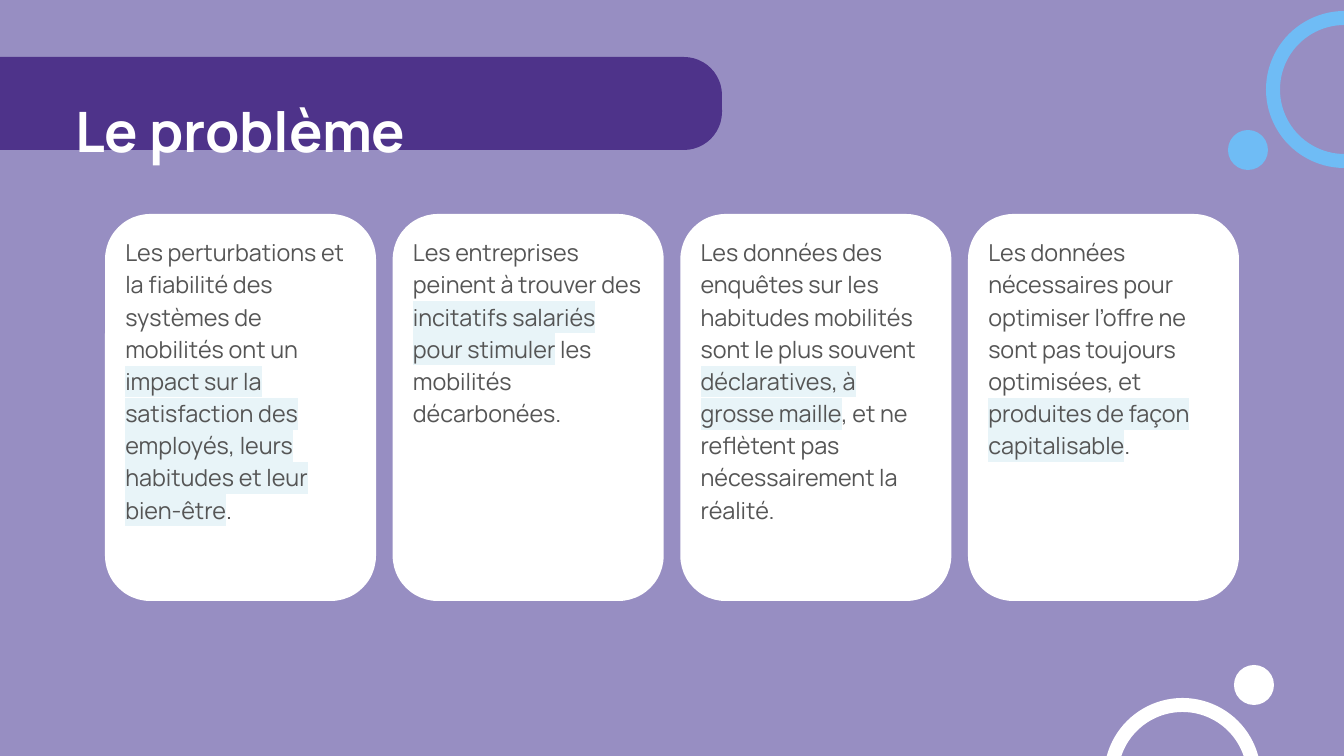
from dataclasses import dataclass

from lxml import etree
from pptx import Presentation
from pptx.dml.color import RGBColor
from pptx.enum.shapes import MSO_SHAPE
from pptx.enum.text import MSO_ANCHOR, MSO_AUTO_SIZE, PP_ALIGN
from pptx.oxml.ns import qn
from pptx.util import Pt

OVAL, ROUNDED = MSO_SHAPE.OVAL, MSO_SHAPE.ROUNDED_RECTANGLE
TOP, LEFT = MSO_ANCHOR.TOP, PP_ALIGN.LEFT
GROW = MSO_AUTO_SIZE.SHAPE_TO_FIT_TEXT
PX = 914400 / 67.2


@dataclass(frozen=True)
class Theme:
    font: str = "Manrope"
    background: str = "978EC2"
    banner: str = "4E338A"
    white: str = "FFFFFF"
    blue: str = "6FBCF5"
    text: str = "555555"
    highlight: str = "E8F4F8"
    title_size: float = 59.7
    body_size: float = 25
    ring_width: float = 15


THEME = Theme()

TITLE = "Le problème"
CARDS = [
    ("Les perturbations et la fiabilité des systèmes de mobilités ont un ",
     "impact sur la satisfaction des employés, leurs habitudes et leur bien-être",
     "."),
    ("Les entreprises peinent à trouver des ",
     "incitatifs salariés pour stimuler",
     " les mobilités décarbonées."),
    ("Les données des enquêtes sur les habitudes mobilités sont le plus souvent ",
     "déclaratives, à grosse maille",
     ", et ne reflètent pas nécessairement la réalité."),
    ("Les données nécessaires pour optimiser l’offre ne sont pas toujours optimisées, et ",
     "produites de façon capitalisable",
     "."),
]
ORNAMENTS = [
    {"ring": (1111, 705), "dot": (1234, 665), "color": THEME.white},
    {"ring": (1273, 18), "dot": (1228, 130), "color": THEME.blue},
]
RING_SIZE, DOT_SIZE = 143, 40
CARDS_LEFT, CARDS_RIGHT, CARDS_TOP = 105, 1239, 214
CARD_W, CARD_H = 271, 387


def px(n):
    return round(n * PX)


def rgb(color):
    return RGBColor.from_string(color)


def add_shape(slide, kind, box, fill=None, line=None):
    sp = slide.shapes.add_shape(kind, *map(px, box))
    sp.shadow.inherit = False
    if fill:
        sp.fill.solid()
        sp.fill.fore_color.rgb = rgb(fill)
    else:
        sp.fill.background()
    if line:
        sp.line.color.rgb = rgb(line)
        sp.line.width = Pt(THEME.ring_width)
    else:
        sp.line.fill.background()
    return sp


def style(p, size, color, spacing, bold=False):
    p.alignment = LEFT
    p.line_spacing = spacing
    p.font.name = THEME.font
    p.font.size = Pt(size)
    p.font.bold = bold
    p.font.color.rgb = rgb(color)


def highlight(r):
    mark = etree.SubElement(r._r.get_or_add_rPr(), qn("a:highlight"))
    etree.SubElement(mark, qn("a:srgbClr"), val=THEME.highlight)


def add_title(slide):
    sp = slide.shapes.title
    slide.shapes._spTree.append(sp._element)
    sp.left, sp.top, sp.width, sp.height = map(px, (75, 70, 1108, 67))
    tf = sp.text_frame
    tf.margin_left = tf.margin_top = tf.margin_right = tf.margin_bottom = 0
    tf.vertical_anchor = TOP
    tf.word_wrap = True
    tf.auto_size = GROW
    tf.text = TITLE
    style(tf.paragraphs[0], THEME.title_size, THEME.white, 1.4, bold=True)


def add_ornament(slide, ring, dot, color):
    add_shape(slide, OVAL, (*ring, RING_SIZE, RING_SIZE), line=color)
    add_shape(slide, OVAL, (*dot, DOT_SIZE, DOT_SIZE), fill=color)


def add_card(slide, left, parts):
    sp = add_shape(slide, ROUNDED, (left, CARDS_TOP, CARD_W, CARD_H), fill=THEME.white)
    sp.adjustments[0] = 0.167
    tf = sp.text_frame
    tf.margin_left = tf.margin_top = tf.margin_right = tf.margin_bottom = px(7)
    tf.vertical_anchor = TOP
    tf.word_wrap = True
    p = tf.paragraphs[0]
    style(p, THEME.body_size, THEME.text, 1.15)
    for part in parts:
        p.add_run().text = part
    highlight(p.runs[1])


def main():
    prs = Presentation()
    prs.slide_width, prs.slide_height = px(1344), px(756)
    slide = prs.slides.add_slide(prs.slide_layouts[5])
    slide.background.fill.solid()
    slide.background.fill.fore_color.rgb = rgb(THEME.background)

    banner = add_shape(slide, ROUNDED, (-103, 57, 825, 93), fill=THEME.banner)
    banner.adjustments[0] = 0.41
    add_title(slide)
    for ornament in ORNAMENTS:
        add_ornament(slide, **ornament)

    pitch = (CARDS_RIGHT - CARDS_LEFT - CARD_W) / (len(CARDS) - 1)
    for i, parts in enumerate(CARDS):
        add_card(slide, CARDS_LEFT + i * pitch, parts)
    prs.save("out.pptx")


if __name__ == "__main__":
    main()
